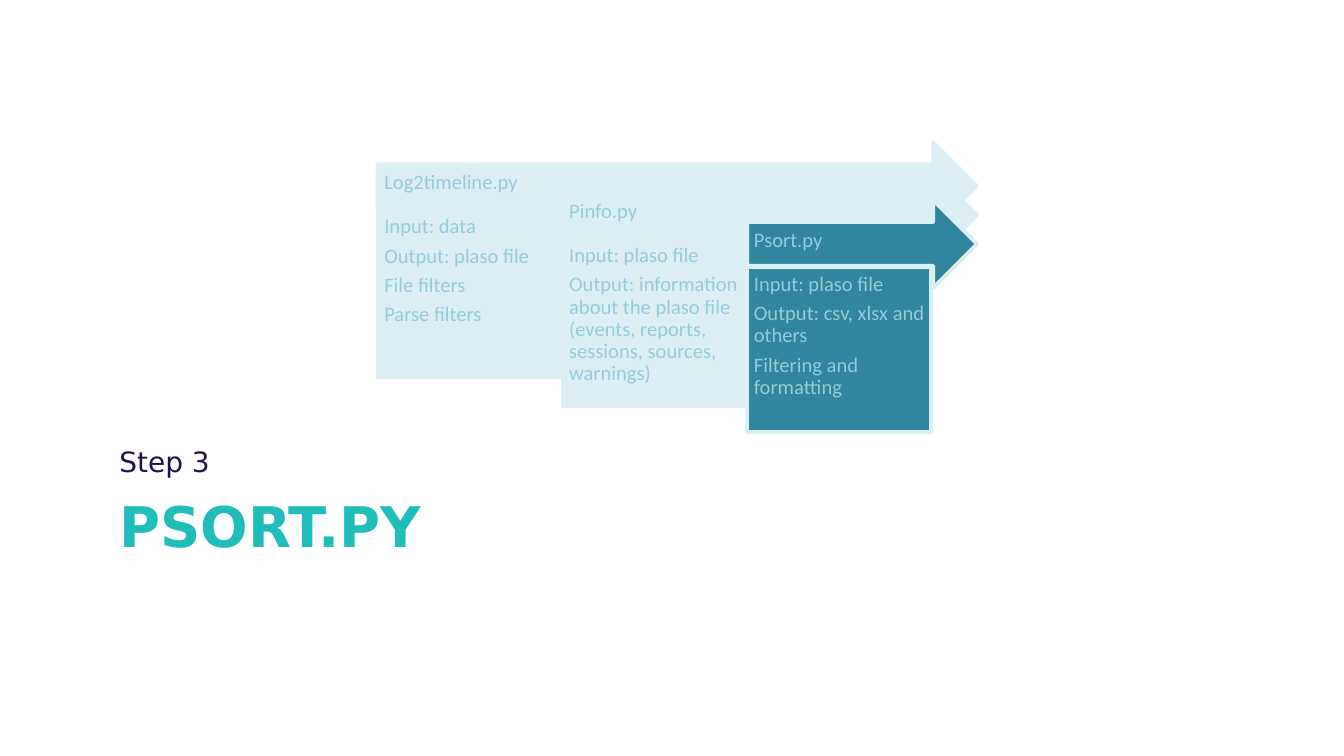
import pptx
import pptx.util
import pptx.dml.color
import pptx.enum.shapes
import pptx.enum.text
from lxml import etree
from pptx.util import Inches

PALE, TEAL, SKY = "DBEEF4", "31859C", "93CDDD"
FIRST_LEFT, LAST_LEFT, ARROW_RIGHT = 2.81, 5.56, 7.27
FIRST_TOP, LAST_TOP = 1.06, 1.49
ARROW_HEIGHT, COLUMN_WIDTH = 0.65, 1.37
ANCHOR = pptx.enum.text.MSO_ANCHOR
SHAPE = pptx.enum.shapes.MSO_SHAPE

# heading, details, fill, height of the details box
STEPS = [
    ("Log2timeline.py",
     ["Input: data", "Output: plaso file", "File filters", "Parse filters"],
     PALE, 1.25),
    ("Pinfo.py",
     ["Input: plaso file",
      "Output: information about the plaso file "
      "(events, reports, sessions, sources, warnings)"],
     PALE, 1.25),
    ("Psort.py",
     ["Input: plaso file", "Output: csv, xlsx and others",
      "Filtering and formatting"],
     TEAL, 1.23),
]


def color(value):
    return pptx.dml.color.RGBColor.from_string(value)


def add_box(shapes, kind, bounds, fill):
    shape = shapes.add_shape(kind, *map(Inches, bounds))
    shape.shadow.inherit = False
    shape.fill.solid()
    shape.fill.fore_color.rgb = color(fill)
    shape.line.color.rgb = color(PALE)
    shape.line.width = pptx.util.Pt(2)
    line = shape.line._get_or_add_ln()
    etree.SubElement(line, pptx.oxml.ns.qn("a:round"))


def add_text(shapes, bounds, lines, font, size, text_color, bold=False,
             anchor=ANCHOR.TOP, insets=(0.1, 0.05, 0.1, 0.05),
             line_spacing=1.0, space_after=0):
    """Insets run left, top, right, bottom, in inches."""
    frame = shapes.add_textbox(*map(Inches, bounds)).text_frame
    frame.word_wrap = True
    frame.vertical_anchor = anchor
    (frame.margin_left, frame.margin_top,
     frame.margin_right, frame.margin_bottom) = map(Inches, insets)
    for index, line in enumerate(lines):
        paragraph = frame.add_paragraph() if index else frame.paragraphs[0]
        paragraph.line_spacing = line_spacing
        paragraph.space_after = pptx.util.Pt(space_after)
        run = paragraph.add_run()
        run.text = line
        run.font.name = font
        run.font.size = pptx.util.Pt(size)
        run.font.bold = bold
        run.font.color.rgb = color(text_color)


def add_step(shapes, left, top, heading, details, fill, height):
    """An arrow with a heading, and a details box below its shaft."""
    style = dict(font="Calibri", size=11, text_color=SKY,
                 line_spacing=0.9, space_after=3.85)
    width = ARROW_RIGHT - left
    quarter = ARROW_HEIGHT / 4
    add_box(shapes, SHAPE.RIGHT_ARROW, (left, top, width, ARROW_HEIGHT), fill)
    add_text(shapes, (left, top + quarter, width - quarter, 2 * quarter),
             [heading], anchor=ANCHOR.MIDDLE,
             insets=(0.05, 0.05, 0.28, 0.1), **style)
    bounds = (left, top + 3 * quarter + 0.01, COLUMN_WIDTH, height)
    add_box(shapes, SHAPE.RECTANGLE, bounds, fill)
    add_text(shapes, bounds, details, insets=[0.05] * 4, **style)


def main():
    presentation = pptx.Presentation()
    presentation.slide_width = Inches(10)
    presentation.slide_height = Inches(10 * 9 / 16)
    slide = presentation.slides.add_slide(presentation.slide_layouts[6])
    add_text(slide.shapes, (0.79, 3.61, 8.5, 1.12), ["PSORT.PY"],
             "DejaVu Sans", 30, "20BDBA", bold=True)
    add_text(slide.shapes, (0.79, 2.38, 8.5, 1.23), ["Step 3"],
             "DejaVu Sans", 15, "23114C", anchor=ANCHOR.BOTTOM)
    group = slide.shapes.add_group_shape()
    last = len(STEPS) - 1
    for index, step in enumerate(STEPS):
        left = FIRST_LEFT + (LAST_LEFT - FIRST_LEFT) * index / last
        top = FIRST_TOP + (LAST_TOP - FIRST_TOP) * index / last
        add_step(group.shapes, left, top, *step)
    presentation.save("out.pptx")


if __name__ == "__main__":
    main()
